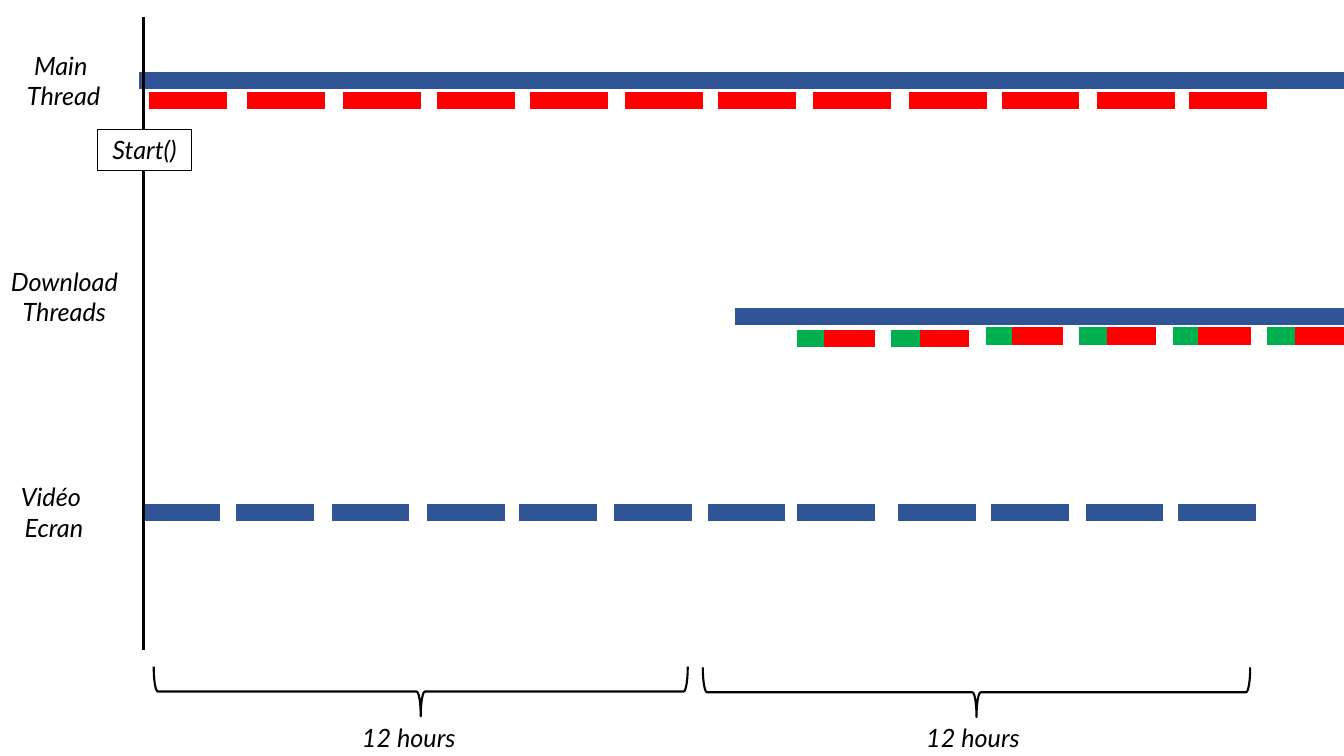
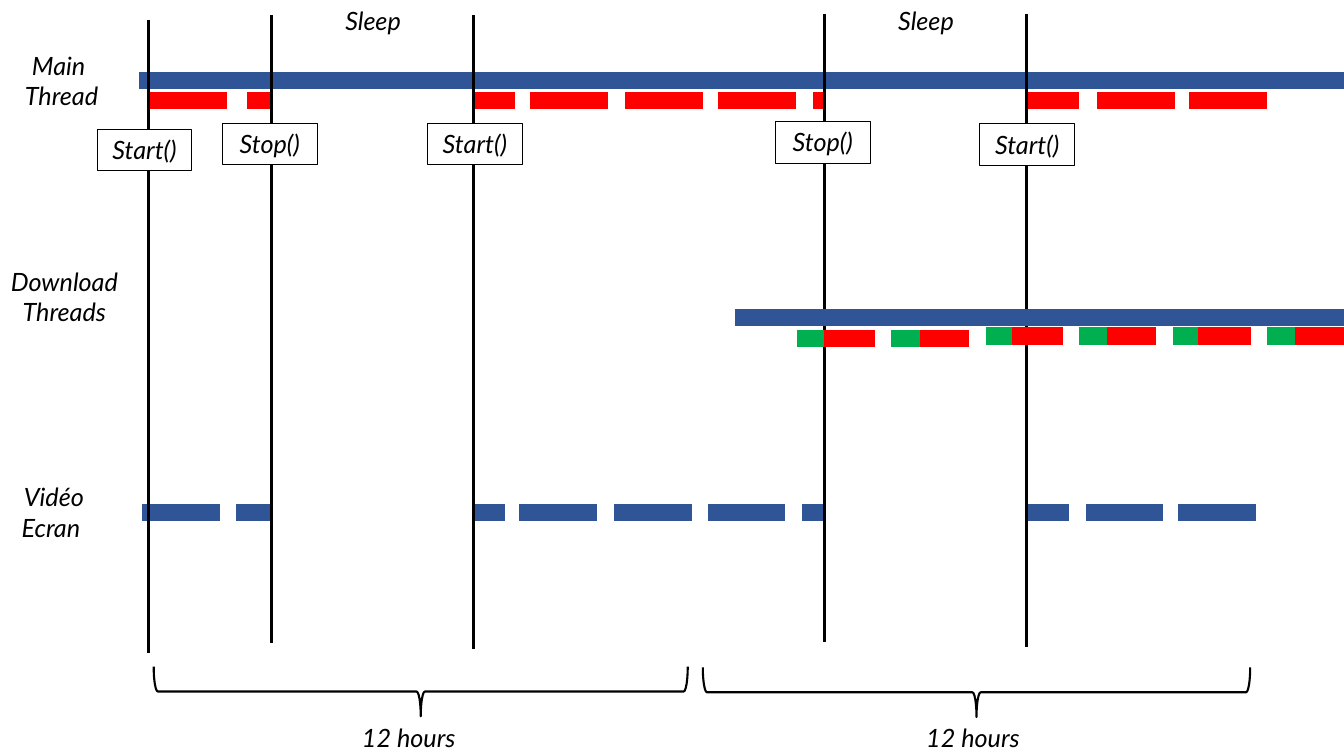
from pptx import Presentation
from pptx.dml.color import RGBColor
from pptx.enum.shapes import MSO_CONNECTOR, MSO_SHAPE
from pptx.enum.text import MSO_AUTO_SIZE, PP_ALIGN
from pptx.oxml.ns import qn
from pptx.util import Pt
from lxml import etree

BLUE = RGBColor(0x2F, 0x55, 0x97)
RED = RGBColor(0xFF, 0x00, 0x00)
GREEN = RGBColor(0x00, 0xB0, 0x50)
BLACK = RGBColor(0x00, 0x00, 0x00)
WHITE = RGBColor(0xFF, 0xFF, 0xFF)
FONT, TEXT_SIZE = "Lato", 18

# Shared timeline geometry
SLIDE_W, SLIDE_H = 960, 540
BAR_WEIGHT, BAR_LENGTH = 12.25, 55.5
MAIN_Y, CAPTURE_Y, SCREEN_Y = 57.5, 72, 366
MAIN_START, DOWNLOAD_START = 99.5, 525
EVENT_W, EVENT_H = 67.5, 29.5
BRACE_DEPTH = 35.5
HOURS_TOP, HOURS_W = 512.5, 135.5
LABEL_W, LABEL_H = 92, 51
LINE_H = 29

# Start of each captured clip on the main thread
CAPTURE_STARTS = [106.5, 176.5, 245, 312.5, 378.5, 446.5,
                  513, 581, 649.5, 715.5, 783.5, 849.5]
# Start of each clip on screen, before and after the eighth
SCREEN_BEFORE = [101.5, 168.5, 237, 305, 371, 438.5, 505.5]
SCREEN_AFTER = [641.5, 708, 775.5, 841.5]
# Downloads: start, start of the red part, height on the slide
DOWNLOADS = [(569.5, 588.5, 242), (636.5, 657, 242), (704, 723, 240),
             (770.5, 790.5, 240), (838, 856, 240), (905, 925, 240)]
# Periods: text, brace centre x, brace centre y, brace length, text left
PERIODS = [("12 hours", 300.5, 494, 381.5, 251.5),
           ("12 hours", 697.5, 494.5, 391, 654.5)]

# Labels: text, left, top, width
# Events: text, line x, line top, line bottom, box left, box top
SLIDES = [
    {
        "labels": [("Main \nThread", -0.5, 32.5, LABEL_W),
                   ("Download Threads", 0, 186.5, LABEL_W),
                   ("Vidéo \nEcran", -0.5, 340.5, 78)],
        "events": [("Start()", 102.5, 12, 464, 69.5, 92.5)],
        "eighth_screen_start": 569.5,
        "download_y": 226,
    },
    {
        "labels": [("Main \nThread", -2, 32.5, LABEL_W),
                   ("Download Threads", 0, 186.5, LABEL_W),
                   ("Vidéo Ecran ", -0.5, 340.5, 78),
                   ("Sleep", 220.5, 0.5, LABEL_W),
                   ("Sleep", 615.5, 0, LABEL_W)],
        "events": [("Start()", 106, 14, 466.5, 69.5, 92.5),
                   ("Stop()", 194, 11, 459.5, 159, 88),
                   ("Start()", 338.5, 11, 463.5, 305.5, 88),
                   ("Stop()", 589, 10, 458.5, 554, 87),
                   ("Start()", 733.5, 10, 462, 700, 88.5)],
        "eighth_screen_start": 573,
        "download_y": 227,
    },
]


def add_line(slide, x1, y1, x2, y2, color, weight):
    line = slide.shapes.add_connector(
        MSO_CONNECTOR.STRAIGHT, Pt(x1), Pt(y1), Pt(x2), Pt(y2))
    line.line.color.rgb = color
    line.line.width = Pt(weight)
    etree.SubElement(line._element.spPr, qn("a:effectLst"))


def add_bar(slide, start, end, y, color):
    add_line(slide, start, y, min(end, SLIDE_W), y, color, BAR_WEIGHT)


def add_text(slide, text, left, top, width, height, align=PP_ALIGN.CENTER):
    box = slide.shapes.add_textbox(Pt(left), Pt(top), Pt(width), Pt(height))
    frame = box.text_frame
    frame.text = text
    frame.word_wrap = True
    frame.auto_size = MSO_AUTO_SIZE.SHAPE_TO_FIT_TEXT
    for paragraph in frame.paragraphs:
        paragraph.alignment = align
        for run in paragraph.runs:
            run.font.name = FONT
            run.font.size = Pt(TEXT_SIZE)
            run.font.italic = True
            run.font.color.rgb = BLACK
    return box


def add_clips(slide, starts, y, color, playing):
    """Draw the part of each clip that falls inside a playing span."""
    for start in starts:
        for span_start, span_end in playing:
            left = max(start, span_start)
            right = min(start + BAR_LENGTH, span_end)
            if left < right:
                add_bar(slide, left, right, y, color)


def add_event(slide, text, x, top, bottom, box_left, box_top):
    add_line(slide, x, top, x, bottom, BLACK, 2.25)
    box = add_text(slide, text, box_left, box_top, EVENT_W, EVENT_H)
    box.fill.solid()
    box.fill.fore_color.rgb = WHITE
    box.line.color.rgb = BLACK
    box.line.width = Pt(0.75)


def add_period(slide, text, center_x, center_y, length, text_left):
    brace = slide.shapes.add_shape(
        MSO_SHAPE.RIGHT_BRACE,
        Pt(center_x - BRACE_DEPTH / 2), Pt(center_y - length / 2),
        Pt(BRACE_DEPTH), Pt(length))
    brace.rotation = 90
    brace.shadow.inherit = False
    brace.fill.background()
    brace.line.color.rgb = BLACK
    brace.line.width = Pt(1.5)
    add_text(slide, text, text_left, HOURS_TOP, HOURS_W, LINE_H, PP_ALIGN.LEFT)


def build_timeline(slide, content):
    # Clips run from each start to the next stop
    cuts = [0] + [event[1] for event in content["events"][1:]] + [SLIDE_W]
    playing = list(zip(cuts[0::2], cuts[1::2]))

    # Main thread and screen
    add_bar(slide, MAIN_START, SLIDE_W, MAIN_Y, BLUE)
    add_clips(slide, CAPTURE_STARTS, CAPTURE_Y, RED, playing)
    screen_starts = SCREEN_BEFORE + [content["eighth_screen_start"]] + SCREEN_AFTER
    add_clips(slide, screen_starts, SCREEN_Y, BLUE, playing)

    # Labels and periods
    for text, left, top, width in content["labels"]:
        height = LINE_H if text == "Sleep" else LABEL_H
        add_text(slide, text, left, top, width, height)
    for period in PERIODS:
        add_period(slide, *period)

    # Start and stop events
    for event in content["events"]:
        add_event(slide, *event)

    # Download threads
    add_bar(slide, DOWNLOAD_START, SLIDE_W, content["download_y"], BLUE)
    for start, red_start, y in DOWNLOADS:
        add_bar(slide, start, start + BAR_LENGTH, y, GREEN)
        add_bar(slide, red_start, start + BAR_LENGTH, y, RED)


def main():
    deck = Presentation()
    deck.slide_width, deck.slide_height = Pt(SLIDE_W), Pt(SLIDE_H)
    for content in SLIDES:
        build_timeline(deck.slides.add_slide(deck.slide_layouts[6]), content)
    deck.save("out.pptx")


if __name__ == "__main__":
    main()
